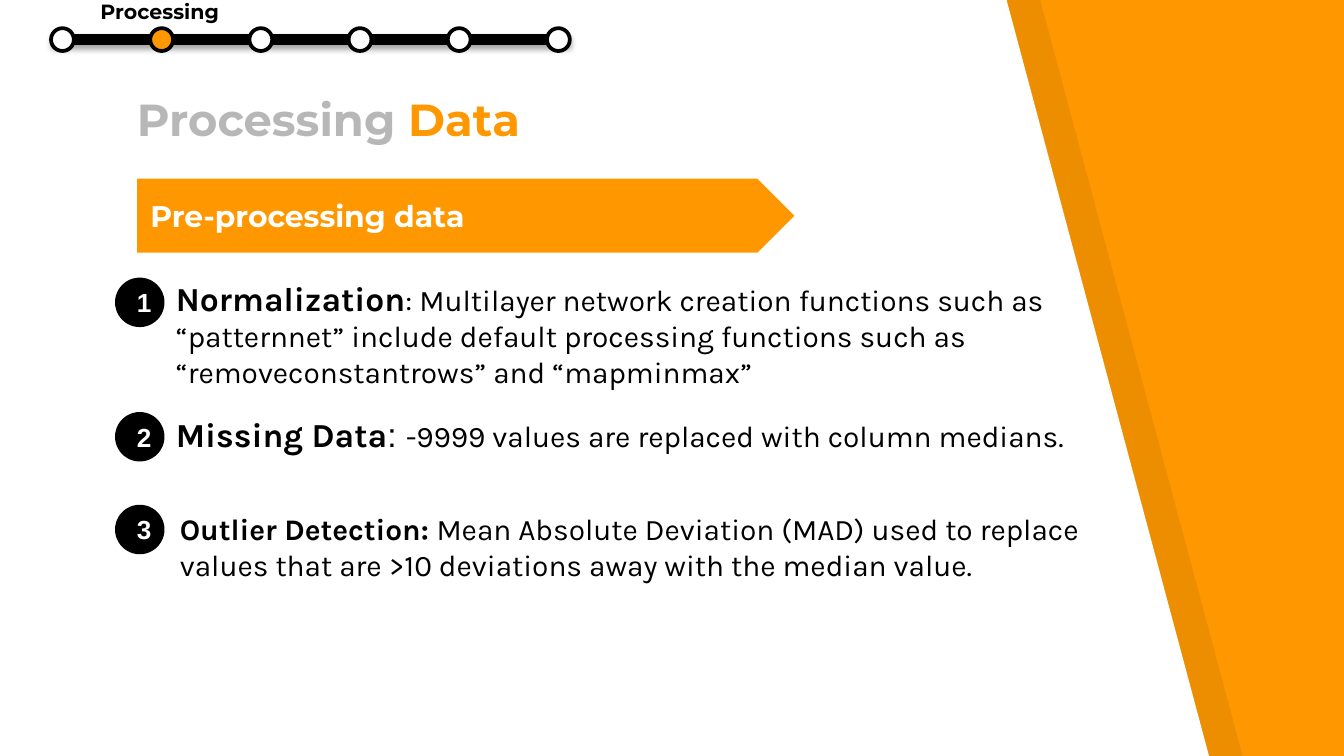
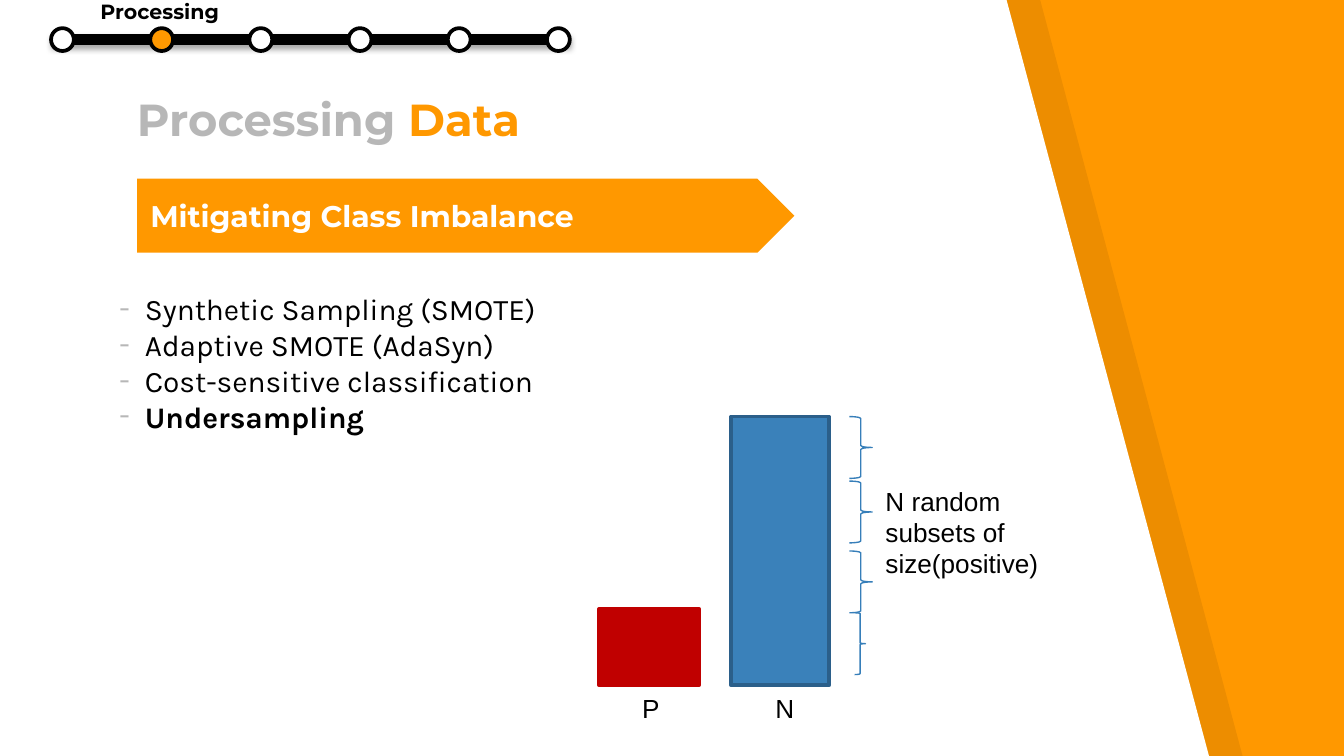
from lxml import etree
from pptx import Presentation
from pptx.dml.color import RGBColor
from pptx.enum.shapes import MSO_CONNECTOR, MSO_SHAPE
from pptx.enum.text import MSO_ANCHOR, PP_ALIGN
from pptx.oxml.ns import qn
from pptx.util import Inches, Pt

ELLIPSE, RECTANGLE = MSO_SHAPE.OVAL, MSO_SHAPE.RECTANGLE
PENTAGON, BRACE = MSO_SHAPE.PENTAGON, MSO_SHAPE.RIGHT_BRACE
STRAIGHT = MSO_CONNECTOR.STRAIGHT
TOP, MIDDLE, BOTTOM = MSO_ANCHOR.TOP, MSO_ANCHOR.MIDDLE, MSO_ANCHOR.BOTTOM
LEFT, CENTER = PP_ALIGN.LEFT, PP_ALIGN.CENTER

ORANGE, WHITE, BLACK, GREY = "FF9800", "FFFFFF", "000000", "B7B7B7"
BLUE, BLUE_EDGE, BRACE_BLUE, RED = "3A81BA", "2B5F8A", "367EB9", "C00000"
TITLE_FONT, BODY_FONT, PLAIN_FONT = "Montserrat", "Karla", "Arial"
INDENT = 0.19


def rgb(color):
    return RGBColor.from_string(color)


def add_run(paragraph, text, size, font, color=BLACK, bold=False):
    run = paragraph.add_run()
    run.text = text
    run.font.size, run.font.name, run.font.bold = Pt(size), font, bold
    run.font.color.rgb = rgb(color)


def add_text(slide, box, runs, anchor=TOP, inset=0.05):
    """Add a wrapped text box and return its first paragraph."""
    shape = slide.shapes.add_textbox(*map(Inches, box))
    frame = shape.text_frame
    frame.word_wrap = True
    frame.vertical_anchor = anchor
    frame.margin_top = frame.margin_bottom = Inches(inset)
    paragraph = frame.paragraphs[0]
    for run in runs:
        add_run(paragraph, *run)
    return paragraph


def add_box(slide, kind, box, fill=None, line=None, width=2):
    shape = slide.shapes.add_shape(kind, *map(Inches, box))
    shape.shadow.inherit = False
    if fill:
        shape.fill.solid()
        shape.fill.fore_color.rgb = rgb(fill)
    else:
        shape.fill.background()
    if line:
        shape.line.color.rgb = rgb(line)
        shape.line.width = Pt(width)
    else:
        shape.line.fill.background()
    return shape


def label_shape(shape, run, alignment):
    shape.text_frame.vertical_anchor = MIDDLE
    paragraph = shape.text_frame.paragraphs[0]
    paragraph.alignment = alignment
    add_run(paragraph, *run)


def set_alpha(color_element, percent):
    alpha = etree.SubElement(color_element, qn("a:alpha"))
    alpha.set("val", str(percent * 1000))


def set_indent(paragraph, hanging=False, bullet=None):
    properties = paragraph._p.get_or_add_pPr()
    properties.set("marL", str(Inches(INDENT)))
    if hanging:
        properties.set("indent", str(-Inches(INDENT)))
    if bullet:
        bullet_color = etree.SubElement(properties, qn("a:buClr"))
        etree.SubElement(bullet_color, qn("a:srgbClr")).set("val", GREY)
        etree.SubElement(properties, qn("a:buFont")).set("typeface", BODY_FONT)
        etree.SubElement(properties, qn("a:buChar")).set("char", bullet)


# Shared slide parts

def add_panel(slide, left, color, alpha=None):
    """Slanted panel that leaves the orange background free on the right."""
    top, bottom = -0.01, 5.64
    builder = slide.shapes.build_freeform(Inches(left), Inches(top), scale=1.0)
    corners = [(left, bottom), (left + 9, bottom), (left + 7.49, 0)]
    builder.add_line_segments([(Inches(x), Inches(y)) for x, y in corners])
    panel = builder.convert_to_shape()
    panel.shadow.inherit = False
    panel.line.fill.background()
    panel.fill.solid()
    panel.fill.fore_color.rgb = rgb(color)
    if alpha:
        set_alpha(panel._element.spPr.find(".//" + qn("a:srgbClr")), alpha)


def add_progress(slide, left, top, current=1, steps=6, span=3.69, size=0.17):
    """Row of step dots on a thick line, with the current step named."""
    gap = span / (steps - 1)
    middle = top + size / 2
    line = slide.shapes.add_connector(
        STRAIGHT, Inches(left), Inches(middle),
        Inches(left + span + size), Inches(middle))
    line.line.color.rgb = rgb(BLACK)
    line.line.width = Pt(6)
    effects = etree.SubElement(line._element.spPr, qn("a:effectLst"))
    shadow = etree.SubElement(effects, qn("a:outerShdw"))
    shadow.set("blurRad", str(Pt(3.1)))
    shadow.set("dist", str(Pt(1.8)))
    shadow.set("dir", "5400000")
    shadow_color = etree.SubElement(shadow, qn("a:srgbClr"))
    shadow_color.set("val", BLACK)
    set_alpha(shadow_color, 35)
    for step in range(steps):
        add_box(slide, ELLIPSE, (left + step * gap, top, size, size),
                ORANGE if step == current else WHITE, BLACK)
    add_text(slide, (left + current * gap - 0.47, top - 0.27, 1.12, 0.29),
             [("Processing", 11, TITLE_FONT, BLACK, True)])


def add_base_slide(presentation, banner_text):
    slide = presentation.slides.add_slide(presentation.slide_layouts[6])
    slide.background.fill.solid()
    slide.background.fill.fore_color.rgb = rgb(ORANGE)
    add_panel(slide, 0.25, BLACK, alpha=7)
    add_panel(slide, 0, WHITE)
    add_text(slide, (0.92, 0.73, 5.25, 0.45),
             [("Processing ", 24, TITLE_FONT, GREY, True),
              ("Data", 24, TITLE_FONT, ORANGE, True)], BOTTOM, 0.1)
    banner = add_box(slide, PENTAGON, (1.02, 1.33, 4.89, 0.55), ORANGE)
    label_shape(banner, (banner_text, 16, TITLE_FONT, WHITE, True), LEFT)
    add_progress(slide, 0.38, 0.21)
    return slide


# Slide 1: numbered steps

def add_numbered_step(slide, number, dot_top, box, runs, anchor=TOP, inset=0.05):
    set_indent(add_text(slide, box, runs, anchor, inset))
    dot = add_box(slide, ELLIPSE, (0.87, dot_top, 0.34, 0.34), BLACK, BLACK)
    label_shape(dot, (str(number), 14, PLAIN_FONT, WHITE, True), CENTER)


def build_preprocessing(presentation):
    slide = add_base_slide(presentation, "Pre-processing data")
    add_numbered_step(
        slide, 1, 2.08, (1.02, 1.75, 6.89, 1.25),
        [("Normalization", 18, BODY_FONT, BLACK, True),
         (": Multilayer network creation functions such as “patternnet” "
          "include default processing functions such as "
          "“removeconstantrows” and “mapminmax”", 16, BODY_FONT)],
        BOTTOM, 0.1)
    add_numbered_step(
        slide, 2, 3.08, (1.02, 3.03, 7.17, 0.4),
        [("Missing Data", 18, BODY_FONT, BLACK, True),
         (": ", 18, PLAIN_FONT),
         ("-9999 values are replaced with column medians.", 16, BODY_FONT)])
    add_numbered_step(
        slide, 3, 3.77, (1.05, 3.75, 7.15, 0.64),
        [("Outlier Detection: ", 16, BODY_FONT, BLACK, True),
         ("Mean Absolute Deviation (MAD) used to replace values that are "
          ">10 deviations away with the median value.", 16, BODY_FONT)])


# Slide 2: methods and undersampling sketch

def add_method_list(slide, box, methods, chosen):
    paragraph = add_text(slide, box, [], BOTTOM, 0.1)
    frame = slide.shapes[-1].text_frame
    for index, method in enumerate(methods):
        if index:
            paragraph = frame.add_paragraph()
        set_indent(paragraph, hanging=True, bullet="-")
        add_run(paragraph, method, 16, BODY_FONT, BLACK, method == chosen)


def add_undersampling_sketch(slide, left, top):
    """Two class bars, with braces that split the larger one."""
    height = 2
    bars = [("P", 0, 0.74, 0.57, RED, RED, 0.22),
            ("N", 0.98, 0.73, height, BLUE, BLUE_EDGE, 0.23)]
    for name, offset, width, bar_height, fill, edge, label_offset in bars:
        x = left + offset
        add_box(slide, RECTANGLE,
                (x, top + height - bar_height, width, bar_height), fill, edge)
        add_text(slide, (x + label_offset, top + height, 0.49, 0.34),
                 [(name, 14, PLAIN_FONT)])
    braces = [(1.86, 0, 0.17), (1.86, 0.48, 0.17),
              (1.86, 1, 0.17), (1.9, 1.46, 0.08)]
    for x, y, width in braces:
        add_box(slide, BRACE, (left + x, top + y, width, 0.46),
                line=BRACE_BLUE, width=0.75)
    add_text(slide, (left + 2.03, top + 0.46, 1.76, 0.81),
             [("N random subsets of size(positive)", 14, PLAIN_FONT)])


def build_imbalance(presentation):
    slide = add_base_slide(presentation, "Mitigating Class Imbalance")
    methods = ["Synthetic Sampling (SMOTE)", "Adaptive SMOTE (AdaSyn)",
               "Cost-sensitive classification", "Undersampling"]
    add_method_list(slide, (0.79, 2.26, 6.89, 1.07), methods, "Undersampling")
    add_undersampling_sketch(slide, 4.46, 3.1)


def main():
    presentation = Presentation()
    presentation.slide_width = Inches(10)
    presentation.slide_height = presentation.slide_width * 9 // 16
    build_preprocessing(presentation)
    build_imbalance(presentation)
    presentation.save("out.pptx")


if __name__ == "__main__":
    main()
